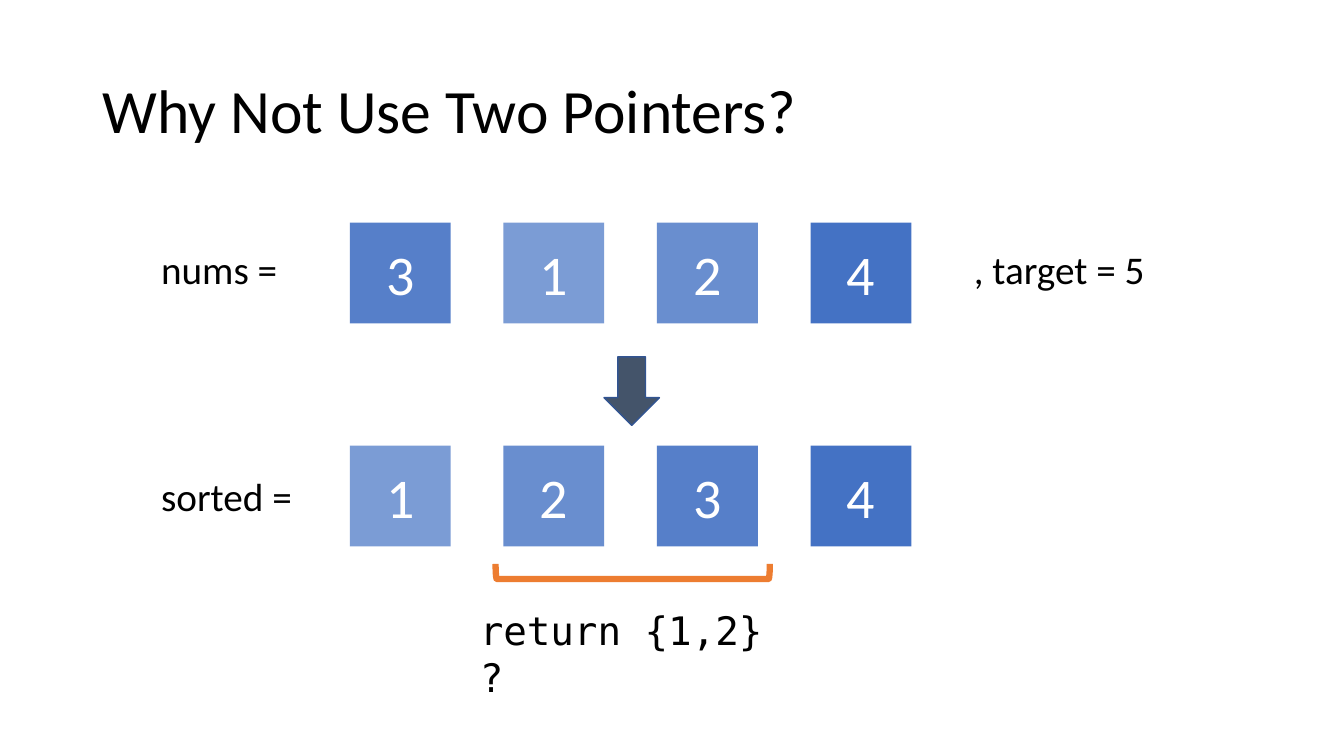
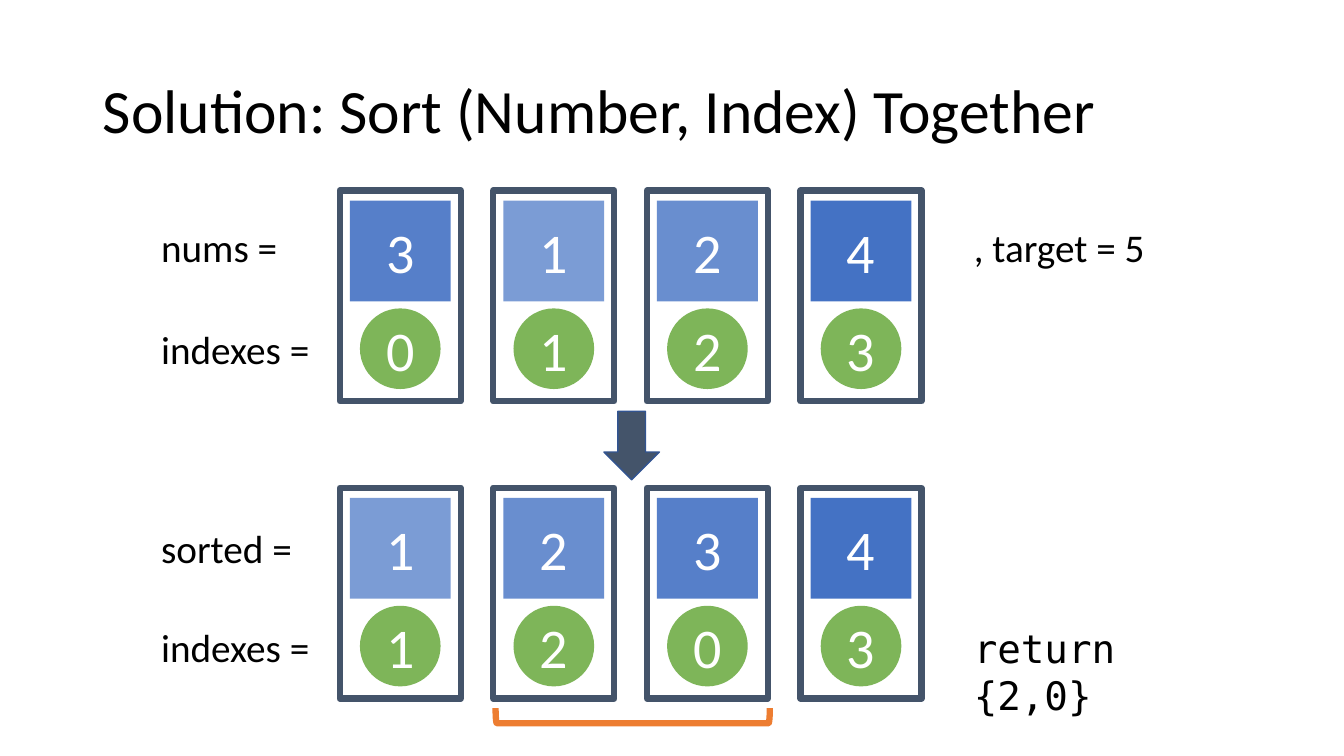
import pptx
import pptx.util
import pptx.dml.color
import pptx.enum.shapes
import pptx.enum.text
import pptx.oxml
import pptx.oxml.ns

Inches = pptx.util.Inches
Pt = pptx.util.Pt
RGBColor = pptx.dml.color.RGBColor
SHAPE = pptx.enum.shapes.MSO_SHAPE
ALIGN = pptx.enum.text.PP_ALIGN
ANCHOR = pptx.enum.text.MSO_ANCHOR
AUTO_SIZE = pptx.enum.text.MSO_AUTO_SIZE

# Shared colours and fonts
BLUE = RGBColor(0x44, 0x72, 0xC4)
GREEN = RGBColor(0x70, 0xAD, 0x47)
SLATE = RGBColor(0x44, 0x54, 0x6A)
ARROW_EDGE = RGBColor(0x32, 0x54, 0x91)
ORANGE = RGBColor(0xED, 0x7D, 0x31)
BLACK = RGBColor(0, 0, 0)
WHITE = RGBColor(255, 255, 255)
BODY_FONT, CODE_FONT = "Calibri", "DejaVu Sans Mono"

# Shared grid, in inches
COLUMNS = [3.47 + index * 4.57 / 3 for index in range(4)]
CELL, CIRCLE = 1.0, 0.8
FRAME_WIDTH, FRAME_HEIGHT = 1.2, 2.09
CIRCLE_DROP = 1.07
INDEX_LABEL_DROP = 1.19
LABEL_LEFT, RESULT_LEFT, LABEL_HEIGHT = 1.5, 9.56, 0.57
BRACKET_DEPTH, BRACKET_SPAN = 0.15, 2.72

SLIDES = [
    {
        "title": "Why Not Use Two Pointers?",
        "rows": [
            {"name": "nums =", "name_width": 1.37, "top": 2.21, "label_drop": 0.17,
             "numbers": [3, 1, 2, 4], "indexes": []},
            {"name": "sorted =", "name_width": 1.51, "top": 4.42, "label_drop": 0.22,
             "numbers": [1, 2, 3, 4], "indexes": []},
        ],
        "arrow_top": 3.54,
        "bracket_top": 4.31,
        "answer": ("return {1,2} ?", 4.66, 5.97, 3.22),
    },
    {
        "title": "Solution: Sort (Number, Index) Together",
        "rows": [
            {"name": "nums =", "name_width": 1.37, "top": 1.99, "label_drop": 0.18,
             "numbers": [3, 1, 2, 4], "indexes": [0, 1, 2, 3]},
            {"name": "sorted =", "name_width": 1.51, "top": 4.94, "label_drop": 0.21,
             "numbers": [1, 2, 3, 4], "indexes": [1, 2, 0, 3]},
        ],
        "arrow_top": 4.08,
        "bracket_top": 5.74,
        "answer": ("return {2,0}", RESULT_LEFT, 6.14, 2.79),
    },
]


def add_figure(slide, kind, area, fill=None, opacity=100, line=None, line_width=1, text=""):
    """Add a preset shape, optionally with a centred digit."""
    shape = slide.shapes.add_shape(kind, *[Inches(length) for length in area])
    shape.shadow.inherit = False
    if fill is None:
        shape.fill.background()
    else:
        shape.fill.solid()
        shape.fill.fore_color.rgb = fill
        if opacity < 100:
            color = shape.fill._xPr.find(".//" + pptx.oxml.ns.qn("a:srgbClr"))
            color.append(pptx.oxml.parse_xml(
                f'<a:alpha {pptx.oxml.ns.nsdecls("a")} val="{opacity * 1000}"/>'))
    if line is None:
        shape.line.fill.background()
    else:
        shape.line.color.rgb = line
        shape.line.width = Pt(line_width)
    if text:
        shape.text_frame.vertical_anchor = ANCHOR.MIDDLE
        paragraph = shape.text_frame.paragraphs[0]
        paragraph.text = text
        paragraph.alignment = ALIGN.CENTER
        paragraph.font.name = BODY_FONT
        paragraph.font.size = Pt(40)
        paragraph.font.color.rgb = WHITE
    return shape


def add_label(slide, text, left, top, width, font=BODY_FONT, wrap=False):
    """Add a black text box at the shared label size."""
    box = slide.shapes.add_textbox(
        Inches(left), Inches(top), Inches(width), Inches(LABEL_HEIGHT))
    box.text_frame.word_wrap = wrap
    paragraph = box.text_frame.paragraphs[0]
    paragraph.text = text
    paragraph.font.name = font
    paragraph.font.size = Pt(28)
    paragraph.font.color.rgb = BLACK


presentation = pptx.Presentation()
presentation.slide_width = Inches(13.33)
presentation.slide_height = Inches(7.5)

# Title place, shared through the layout
layout = presentation.slide_layouts[5]
title_place = {"left": 0.92, "top": 0.4, "width": 11.5, "height": 1.45}
for name, length in title_place.items():
    setattr(layout.placeholders[0], name, Inches(length))

title_frame_format = {"vertical_anchor": ANCHOR.MIDDLE, "word_wrap": True,
                      "auto_size": AUTO_SIZE.NONE}
title_paragraph_format = {"alignment": ALIGN.LEFT, "line_spacing": 0.9}
title_font_format = {"name": BODY_FONT, "size": Pt(44)}

for content in SLIDES:
    slide = presentation.slides.add_slide(layout)

    # Title
    title_frame = slide.shapes.title.text_frame
    title_frame.text = content["title"]
    paragraph = title_frame.paragraphs[0]
    for target, values in (
        (title_frame, title_frame_format),
        (paragraph, title_paragraph_format),
        (paragraph.font, title_font_format),
    ):
        for name, value in values.items():
            setattr(target, name, value)
    paragraph.font.color.rgb = BLACK

    # Rows of numbers: the larger the number, the more opaque its square
    for row in content["rows"]:
        top = row["top"]
        add_label(slide, row["name"], LABEL_LEFT, top + row["label_drop"], row["name_width"])
        for left, number in zip(COLUMNS, row["numbers"]):
            add_figure(slide, SHAPE.RECTANGLE, (left, top, CELL, CELL),
                       fill=BLUE, opacity=60 + 10 * number, text=str(number))

        # Index circles, each framed with its number
        if row["indexes"]:
            add_label(slide, "indexes =", LABEL_LEFT, top + INDEX_LABEL_DROP, 1.69)
        for left, index in zip(COLUMNS, row["indexes"]):
            circle_left = left + (CELL - CIRCLE) / 2
            add_figure(slide, SHAPE.OVAL, (circle_left, top + CIRCLE_DROP, CIRCLE, CIRCLE),
                       fill=GREEN, opacity=90, text=str(index))
            frame_left = left + (CELL - FRAME_WIDTH) / 2
            add_figure(slide, SHAPE.RECTANGLE,
                       (frame_left, top - 0.1, FRAME_WIDTH, FRAME_HEIGHT),
                       line=SLATE, line_width=4.5)

    # Target beside the first row
    first_row = content["rows"][0]
    add_label(slide, ", target = 5", RESULT_LEFT,
              first_row["top"] + first_row["label_drop"], 1.91)

    # Arrow between the rows, bracket under the matching pair, answer
    add_figure(slide, SHAPE.DOWN_ARROW, (5.99, content["arrow_top"], 0.55, 0.68),
               fill=SLATE, line=ARROW_EDGE)
    bracket = add_figure(slide, SHAPE.RIGHT_BRACKET,
                         (6.2, content["bracket_top"], BRACKET_DEPTH, BRACKET_SPAN),
                         line=ORANGE, line_width=4.5)
    bracket.rotation = 90
    add_label(slide, *content["answer"], font=CODE_FONT, wrap=True)

presentation.save("out.pptx")
